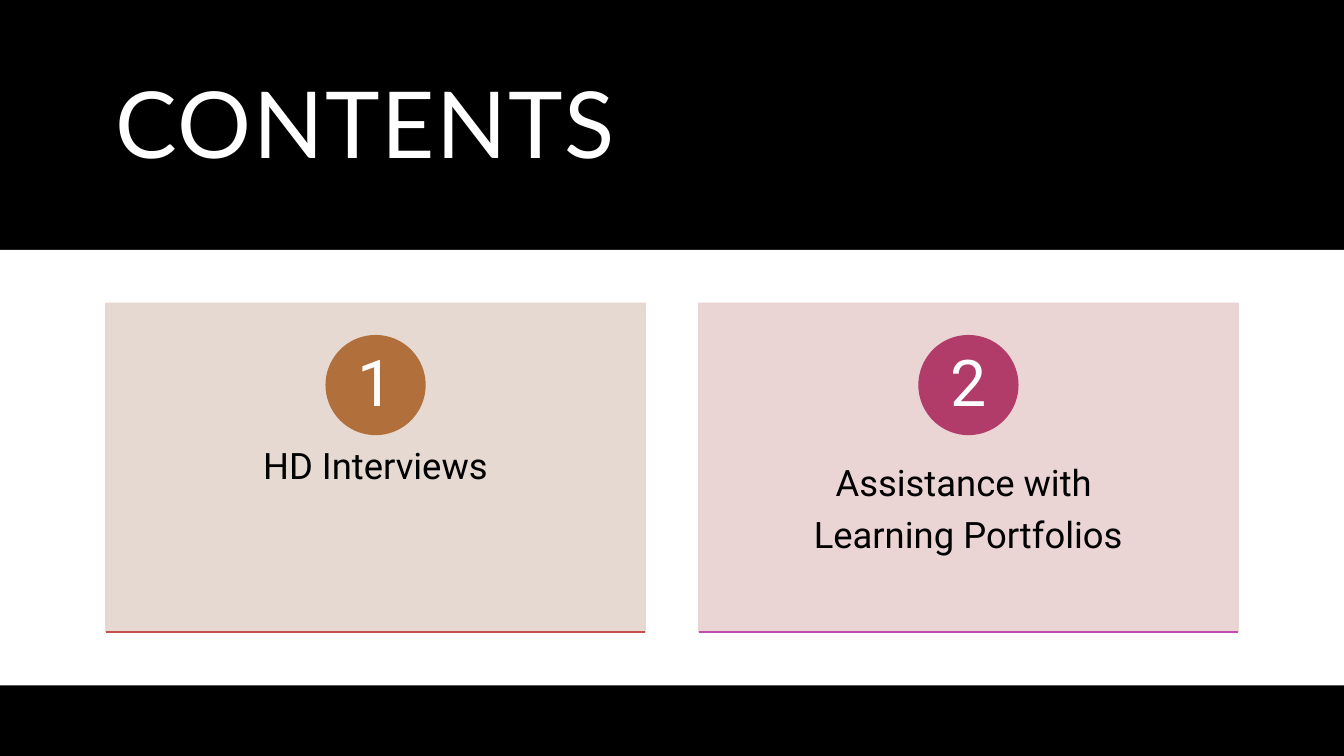
"""Build the contents slide with two numbered topic cards."""
from lxml import etree
from pptx import Presentation
from pptx.dml.color import RGBColor
from pptx.enum.shapes import MSO_CONNECTOR, MSO_SHAPE
from pptx.enum.text import MSO_ANCHOR, PP_ALIGN
from pptx.oxml.ns import qn
from pptx.util import Inches, Pt

rgb = RGBColor.from_string


def add_filled(kind, x, y, w, h, color, alpha=100, outlined=False):
    sp = s.shapes.add_shape(kind, Inches(x), Inches(y), Inches(w), Inches(h))
    sp.shadow.inherit = False
    sp.fill.solid()
    sp.fill.fore_color.rgb = rgb(color)
    if outlined:
        sp.line.color.rgb = rgb(color)
        sp.line.width = Pt(1)
    else:
        sp.line.fill.background()
    if alpha < 100:
        for clr in sp._element.spPr.iter(qn("a:srgbClr")):
            etree.SubElement(clr, qn("a:alpha")).set("val", str(alpha * 1000))


def add_text(x, y, w, h, lines, font, size, color, align, anchor, inset, after=0):
    tf = s.shapes.add_textbox(Inches(x), Inches(y), Inches(w), Inches(h)).text_frame
    tf.word_wrap = True
    tf.vertical_anchor = anchor
    tf.margin_left = tf.margin_right = Inches(inset[0])
    tf.margin_top = tf.margin_bottom = Inches(inset[1])
    tf.text = "\n".join(lines)
    for p in tf.paragraphs:
        p.alignment = align
        p.line_spacing = 0.9
        p.space_after = Pt(after)
        for r in p.runs:
            r.font.name = font
            r.font.size = Pt(size)
            r.font.color.rgb = rgb(color)
    return tf


prs = Presentation()
prs.slide_width, prs.slide_height = Inches(13.33), Inches(7.5)
s = prs.slides.add_slide(prs.slide_layouts[6])

add_filled(MSO_SHAPE.RECTANGLE, 0, 0, 13.33, 7.5, "000000")
title = add_text(1.05, 0.35, 11.23, 1.86, ["CONTENTS"], "Lato", 66, "FFFFFF",
                 PP_ALIGN.LEFT, MSO_ANCHOR.MIDDLE, (0.1, 0.05))
title.paragraphs[0].runs[0].font._element.set("spc", "120")
add_filled(MSO_SHAPE.RECTANGLE, 0, 2.48, 13.33, 4.32, "FFFFFF")

cards = [
    (["HD Interviews"], "E4D5CE", "B1703B", "C3504D"),
    (["Assistance with ", "Learning Portfolios"], "E9D0D0", "B13B69", "C34DAC"),
]
card_w, card_h, pitch, top = 5.35, 3.26, 5.88, 3.01
badge, number_box = 0.98, 0.69

for i, (topic, card_color, badge_color, rule_color) in enumerate(cards):
    left = 1.05 + i * pitch
    center = left + card_w / 2
    bottom = top + card_h
    add_filled(MSO_SHAPE.RECTANGLE, left, top, card_w, card_h, card_color, 90, True)
    add_text(left, 4.25, card_w, 1.96, topic, "Roboto", 26, "000000",
             PP_ALIGN.CENTER, MSO_ANCHOR.TOP, (0.42, 0.36), 9.5)
    add_filled(MSO_SHAPE.OVAL, center - badge / 2, 3.33, badge, badge, badge_color, outlined=True)
    add_text(center - number_box / 2, 3.48, number_box, number_box, [str(i + 1)], "Roboto", 46,
             "FFFFFF", PP_ALIGN.CENTER, MSO_ANCHOR.MIDDLE, (0.08, 0.01))
    rule = s.shapes.add_connector(MSO_CONNECTOR.STRAIGHT, Inches(left), Inches(bottom),
                                  Inches(left + card_w), Inches(bottom))
    rule.line.color.rgb = rgb(rule_color)
    rule.line.width = Pt(1)
    etree.SubElement(rule._element.spPr, qn("a:effectLst"))

prs.save("out.pptx")
